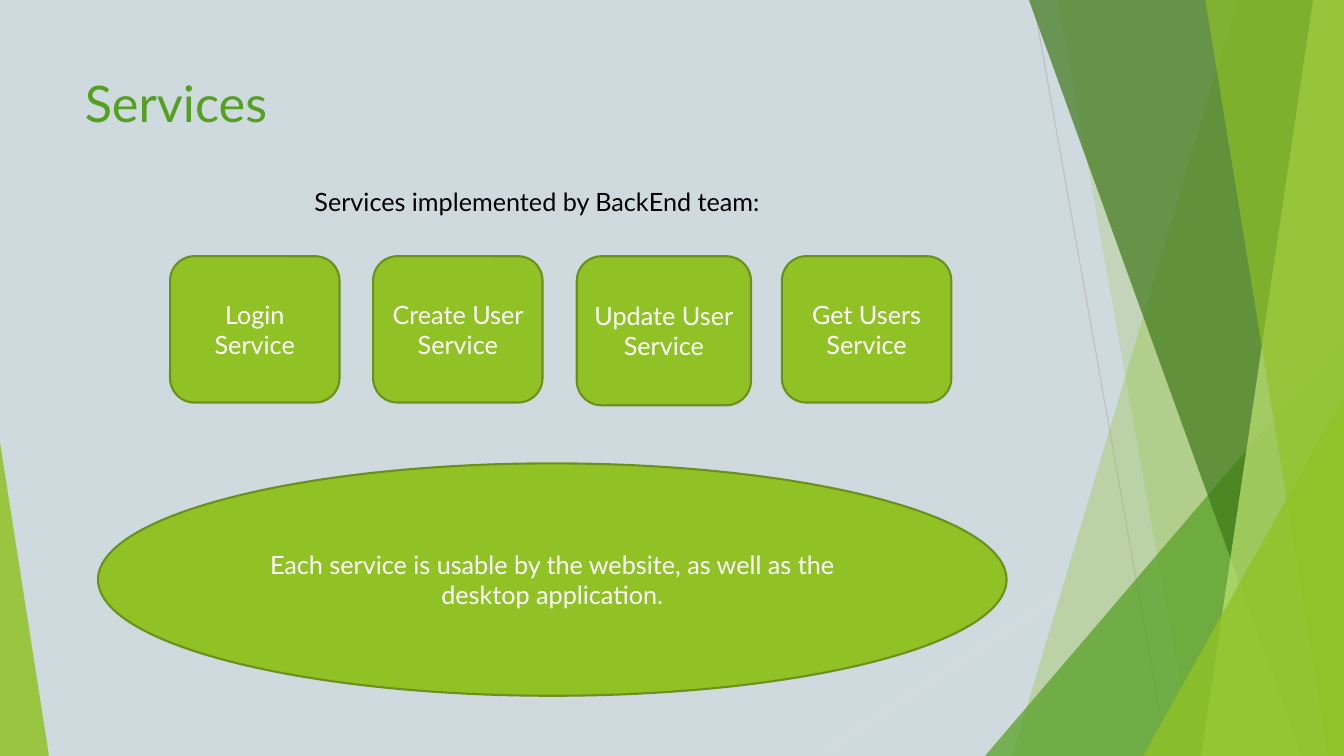
from lxml.etree import SubElement
from pptx import Presentation
from pptx.dml.color import RGBColor
from pptx.enum.shapes import MSO_CONNECTOR, MSO_SHAPE as SHAPE
from pptx.enum.text import MSO_ANCHOR, PP_ALIGN
from pptx.oxml.ns import qn
from pptx.util import Pt

BACKGROUND = RGBColor(0xCF, 0xDA, 0xDF)
LIME = RGBColor(0x90, 0xC2, 0x26)
PALE_LIME = RGBColor(0xC0, 0xE4, 0x74)
GREEN = RGBColor(0x54, 0xA0, 0x21)
DARK_GREEN = RGBColor(0x3F, 0x78, 0x19)
OUTLINE = RGBColor(0x6B, 0x90, 0x1C)
GREY = RGBColor(0xBF, 0xBF, 0xBF)
LIGHT_GREY = RGBColor(0xD9, 0xD9, 0xD9)
WHITE = RGBColor(0xFF, 0xFF, 0xFF)
BLACK = RGBColor(0x00, 0x00, 0x00)
WIDTH, HEIGHT = 960, 540

prs = Presentation()
prs.slide_width, prs.slide_height = Pt(WIDTH), Pt(HEIGHT)
slide = prs.slides.add_slide(prs.slide_layouts[6])
slide.background.fill.solid()
slide.background.fill.fore_color.rgb = BACKGROUND
shapes = slide.shapes


def paint(shape, colour, opacity=100):
    shape.shadow.inherit = False
    shape.fill.solid()
    shape.fill.fore_color.rgb = colour
    if opacity < 100:
        shape.line.fill.background()
        tint = shape._element.spPr.find(".//" + qn("a:srgbClr"))
        SubElement(tint, qn("a:alpha")).set("val", str(opacity * 1000))


def write(shape, lines, colour, size=18, align=PP_ALIGN.LEFT, anchor=MSO_ANCHOR.TOP):
    frame = shape.text_frame
    frame.word_wrap = True
    frame.vertical_anchor = anchor
    for index, line in enumerate(lines):
        paragraph = frame.add_paragraph() if index else frame.paragraphs[0]
        paragraph.alignment = align
        run = paragraph.add_run()
        run.text = line
        run.font.name = "Lato"
        run.font.size = Pt(size)
        run.font.color.rgb = colour


# Thin lines behind the facets
for x1, y1, x2, y2, colour in [
    (738, 0, 834, HEIGHT, GREY),
    (WIDTH, 290, 585, HEIGHT, LIGHT_GREY),
]:
    ray = shapes.add_connector(MSO_CONNECTOR.STRAIGHT, Pt(x1), Pt(y1), Pt(x2), Pt(y2))
    ray.line.color.rgb = colour
    ray.line.width = Pt(0.75)
    SubElement(ray._element.spPr, qn("a:effectLst"))

# Facets: a band gives its left edge at top and bottom and runs to the right side;
# a corner gives left, top, width and apex and stands on the bottom edge
for kind, place, colour, opacity in [
    ("band", (884, 723), LIME, 30),
    ("band", (756, 852), LIME, 20),
    ("corner", (703.5, 240, 256.5, 1), GREEN, 72),
    ("band", (735, 930), DARK_GREEN, 70),
    ("band", (938, 858), PALE_LIME, 70),
    ("band", (861, 949), LIME, 65),
    ("corner", (816.5, 283, 143.5, 1), LIME, 80),
    ("corner", (0, 316, 35, 0), LIME, 85),
]:
    if kind == "band":
        top_x, bottom_x = place
        outline = shapes.build_freeform(top_x, 0, scale=Pt(1))
        outline.add_line_segments([(WIDTH, 0), (WIDTH, HEIGHT), (bottom_x, HEIGHT)])
        facet = outline.convert_to_shape()
    else:
        left, top, width, apex = place
        facet = shapes.add_shape(
            SHAPE.ISOSCELES_TRIANGLE, Pt(left), Pt(top), Pt(width), Pt(HEIGHT - top))
        facet.adjustments[0] = apex
    paint(facet, colour, opacity)

# Title and introduction
title = shapes.add_textbox(Pt(53.5), Pt(48), Pt(677), Pt(104))
write(title, ["Services"], GREEN, size=36)
intro = shapes.add_textbox(Pt(217.5), Pt(129.5), Pt(356.5), Pt(29))
write(intro, ["Services implemented by BackEnd team:"], BLACK)

# Service boxes and closing remark
for kind, left, top, width, height, lines in [
    (SHAPE.ROUNDED_RECTANGLE, 121.5, 183, 121, 104.5, ["Login Service"]),
    (SHAPE.ROUNDED_RECTANGLE, 266.5, 183, 121, 104.5, ["Create User Service"]),
    (SHAPE.ROUNDED_RECTANGLE, 412, 183, 124.5, 106.5, ["Update User", "Service"]),
    (SHAPE.ROUNDED_RECTANGLE, 558.5, 183, 121, 104.5, ["Get Users", "Service"]),
    (SHAPE.OVAL, 70, 331, 649, 166,
     ["Each service is usable by the website, as well as the desktop application."]),
]:
    service = shapes.add_shape(kind, Pt(left), Pt(top), Pt(width), Pt(height))
    paint(service, LIME)
    service.line.color.rgb = OUTLINE
    service.line.width = Pt(1.5)
    write(service, lines, WHITE, align=PP_ALIGN.CENTER, anchor=MSO_ANCHOR.MIDDLE)

prs.save("out.pptx")
